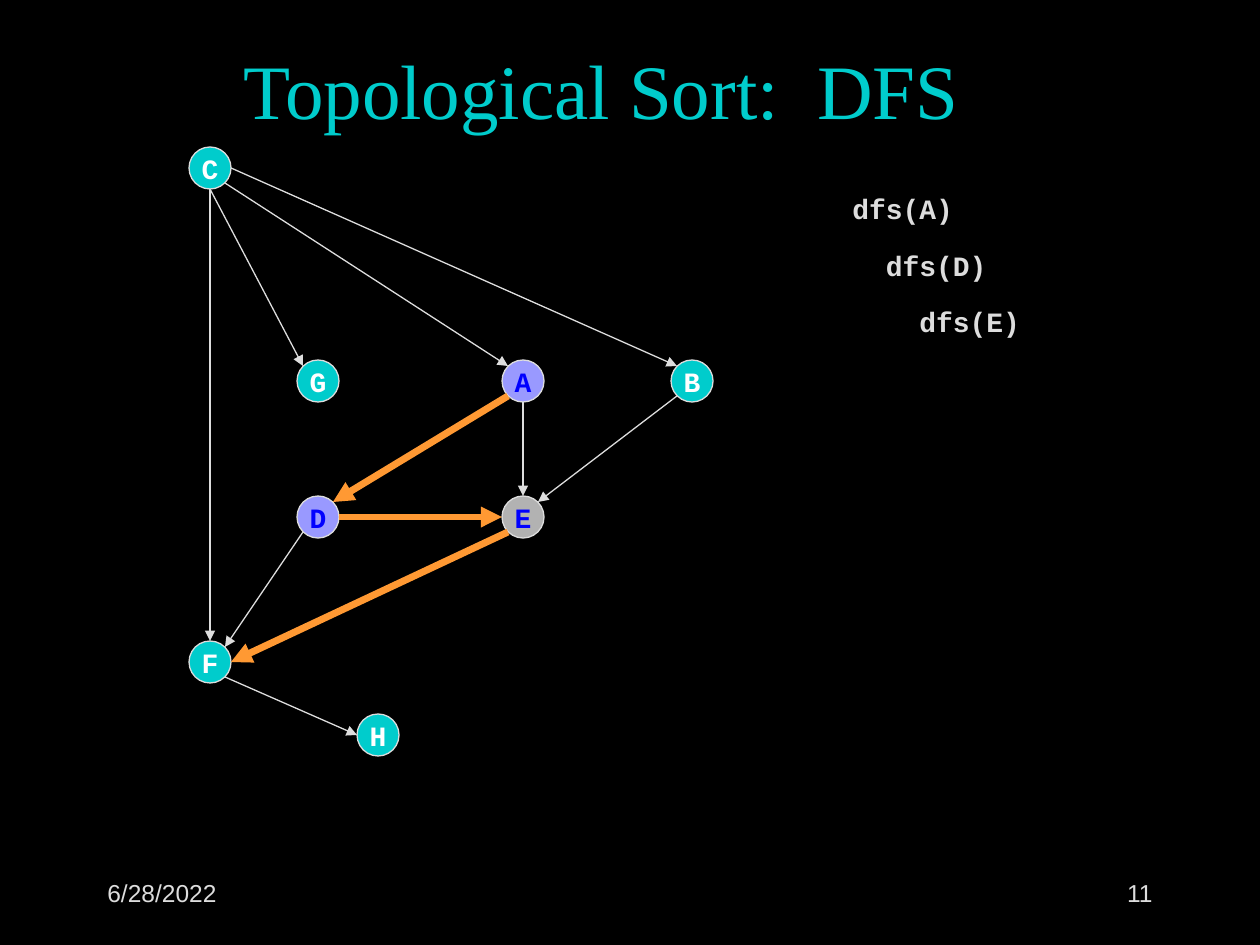
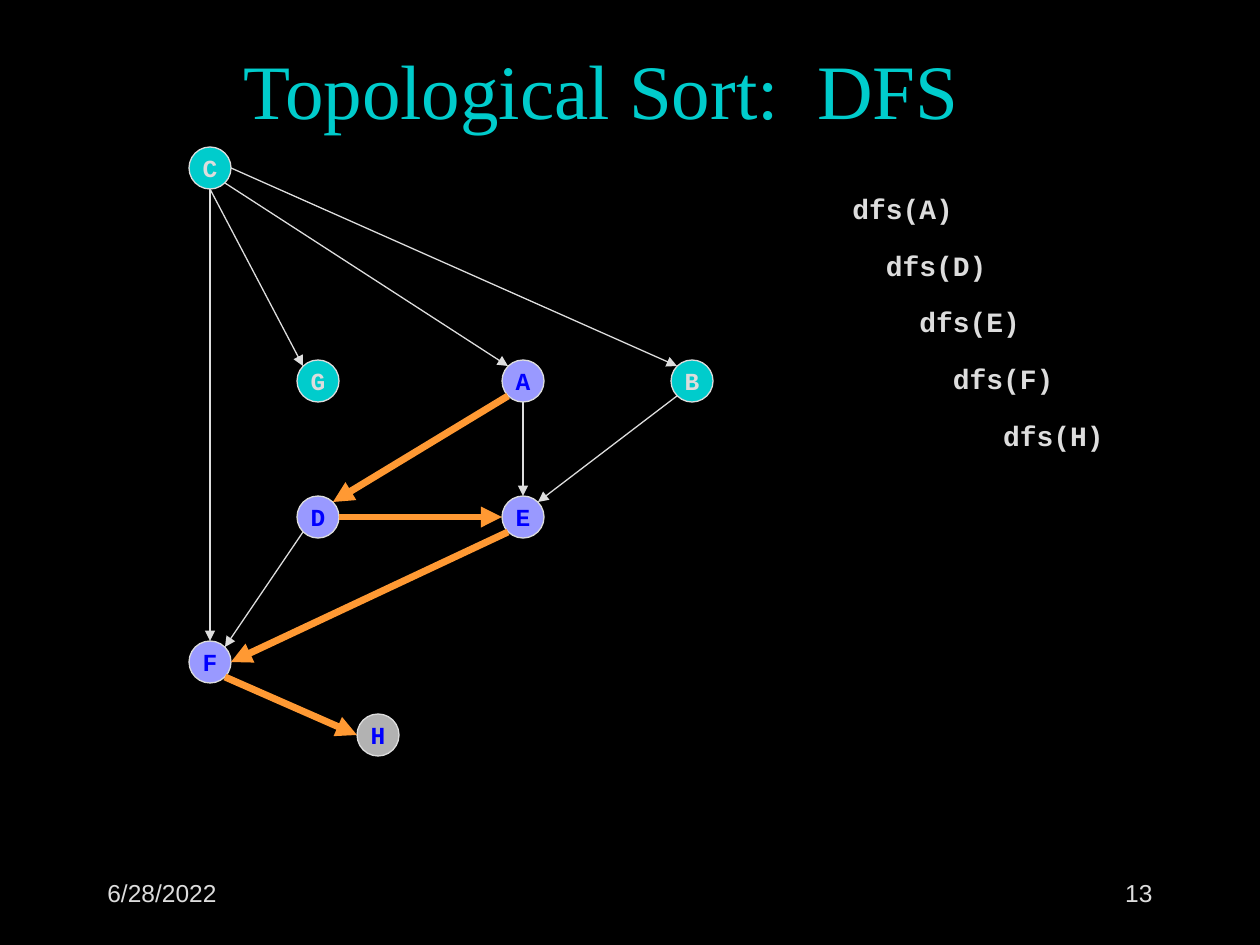
from lxml.etree import SubElement
from pptx import Presentation
from pptx.dml.color import RGBColor
from pptx.enum.shapes import MSO_CONNECTOR as Connector, MSO_SHAPE as Shape
from pptx.enum.text import MSO_ANCHOR as Anchor, PP_ALIGN as Align
from pptx.oxml.ns import qn
from pptx.util import Pt

BLACK = RGBColor(0x00, 0x00, 0x00)
WHITE = RGBColor(0xFF, 0xFF, 0xFF)
LIGHT = RGBColor(0xDD, 0xDD, 0xDD)
GREY = RGBColor(0xB2, 0xB2, 0xB2)
CYAN = RGBColor(0x00, 0xCC, 0xCC)
LILAC = RGBColor(0x99, 0x99, 0xFF)
BLUE = RGBColor(0x00, 0x00, 0xFF)
ORANGE = RGBColor(0xFF, 0x99, 0x33)

PX = 914400 / 126
RADIUS = 21
DIAGONAL = 15

NODE_CENTERS = {
    "F": (210, 662), "C": (210, 168), "G": (318, 381), "A": (523, 381),
    "B": (692, 381), "D": (318, 517), "E": (523, 517), "H": (378, 735),
}
RIM_OFFSETS = {
    "N": (0, -RADIUS), "S": (0, RADIUS), "W": (-RADIUS, 0), "E": (RADIUS, 0),
    "NW": (-DIAGONAL, -DIAGONAL), "NE": (DIAGONAL, -DIAGONAL),
    "SW": (-DIAGONAL, DIAGONAL), "SE": (DIAGONAL, DIAGONAL),
}
# Each edge: start node, rim side it leaves, end node, rim side it reaches
EDGES = [
    ("C", "S", "F", "N"), ("C", "SE", "A", "NW"), ("C", "E", "B", "NW"),
    ("C", "S", "G", "NW"), ("D", "SW", "F", "NE"), ("B", "SW", "E", "NE"),
    ("A", "S", "E", "N"), ("A", "SW", "D", "NE"), ("D", "E", "E", "W"),
    ("E", "SW", "F", "E"), ("F", "SE", "H", "W"),
]
# Each step: page number, visited nodes, current node, tree edges,
# colour of unvisited labels, label size, call stack
STEPS = [
    ("11", "AD", "E", ["AD", "DE", "EF"], WHITE, 16,
     ["dfs(A)", "  dfs(D)", "    dfs(E)"]),
    ("13", "ADEF", "H", ["AD", "DE", "EF", "FH"], LIGHT, 14,
     ["dfs(A)", "  dfs(D)", "    dfs(E)", "      dfs(F)", "         dfs(H)"]),
]


def px(*lengths):
    return [round(length * PX) for length in lengths]


def add_text(page, bounds, lines, font_name, size, color, anchor=Anchor.MIDDLE,
             align=Align.LEFT):
    """Add a text box with one paragraph per line and return its paragraphs."""
    frame = page.shapes.add_textbox(*px(*bounds)).text_frame
    frame.word_wrap = False
    frame.vertical_anchor = anchor
    frame.text = "\n".join(lines)
    for para in frame.paragraphs:
        para.alignment = align
        para.font.name = font_name
        para.font.size = Pt(size)
        para.font.color.rgb = color
    return frame.paragraphs


deck = Presentation()
deck.slide_width, deck.slide_height = px(1260, 945)

for number, visited, current, tree_edges, label_color, label_size, calls in STEPS:
    page = deck.slides.add_slide(deck.slide_layouts[6])
    page.background.fill.solid()
    page.background.fill.fore_color.rgb = BLACK

    add_text(page, (231, 10, 1071, 158), ["Topological Sort:  DFS"],
             "Times New Roman", 44, CYAN)

    call_paras = add_text(page, (840, 179, 277, 215), calls, "Courier New", 16,
                          LIGHT, Anchor.TOP)
    for index, para in enumerate(call_paras):
        para.font.bold = True
        para.line_spacing = 1.2
        if index:
            para.space_before = Pt(9.3)

    for name, (x, y) in NODE_CENTERS.items():
        node = page.shapes.add_shape(
            Shape.OVAL, *px(x - RADIUS, y - RADIUS, 2 * RADIUS, 2 * RADIUS))
        node.shadow.inherit = False
        node.fill.solid()
        if name == current:
            node.fill.fore_color.rgb = GREY
        else:
            node.fill.fore_color.rgb = LILAC if name in visited else CYAN
        node.line.color.rgb = LIGHT
        node.line.width = Pt(0.75)
        frame = node.text_frame
        frame.word_wrap = False
        frame.vertical_anchor = Anchor.MIDDLE
        frame.margin_left = frame.margin_right = 0
        frame.margin_top = frame.margin_bottom = 0
        frame.text = name
        label = frame.paragraphs[0]
        label.alignment = Align.CENTER
        label.font.name = "Courier New"
        label.font.size = Pt(label_size)
        label.font.bold = True
        label.font.color.rgb = BLUE if name in visited + current else label_color

    for start, start_side, end, end_side in EDGES:
        in_tree = start + end in tree_edges
        (x1, y1), (x2, y2) = NODE_CENTERS[start], NODE_CENTERS[end]
        (dx1, dy1), (dx2, dy2) = RIM_OFFSETS[start_side], RIM_OFFSETS[end_side]
        edge = page.shapes.add_connector(
            Connector.STRAIGHT, *px(x1 + dx1, y1 + dy1, x2 + dx2, y2 + dy2))
        edge.line.color.rgb = ORANGE if in_tree else LIGHT
        edge.line.width = Pt(4 if in_tree else 0.75)
        SubElement(edge.line._get_or_add_ln(), qn("a:tailEnd"), type="triangle")
        SubElement(edge._element.spPr, qn("a:effectLst"))

    add_text(page, (95, 861, 262, 63), ["6/28/2022"], "Arial", 14, LIGHT)
    add_text(page, (903, 861, 262, 63), [number], "Arial", 14, LIGHT,
             align=Align.RIGHT)

deck.save("out.pptx")
